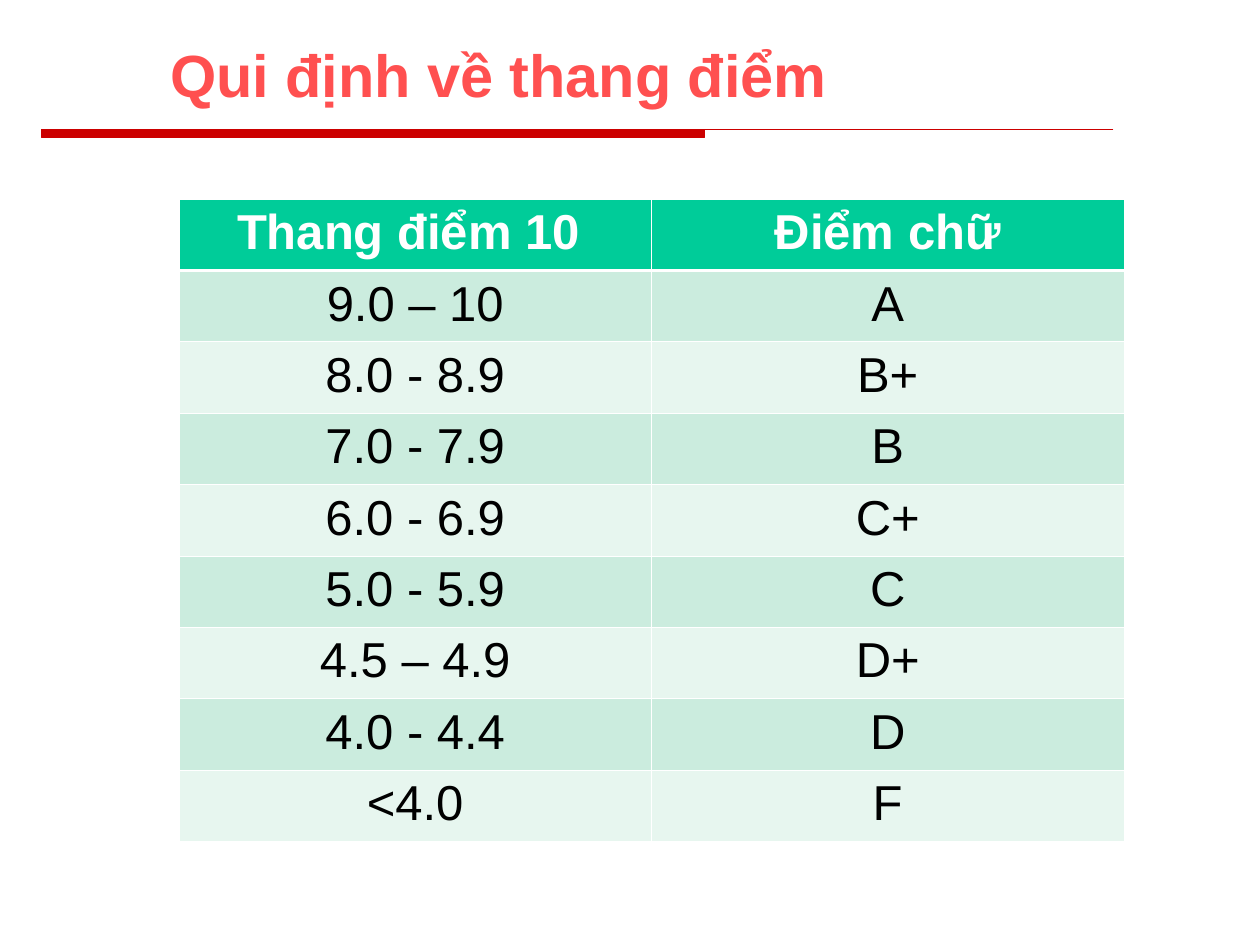
"""Build a slide with a table that maps ten-point scores to letter grades."""
import pptx
import pptx.dml.color
import pptx.enum.text
import pptx.oxml
import pptx.oxml.ns
import pptx.util

Inches = pptx.util.Inches
Pt = pptx.util.Pt
COLORS = {
    "title": "FF5050",
    "rule": "CC0000",
    "header": "00CC99",
    "odd": "CBECDE",
    "even": "E7F6EF",
    "white": "FFFFFF",
    "black": "000000",
}
GRADES = [
    ("Thang điểm 10 ", "Điểm chữ"),
    ("9.0 – 10", "A"),
    ("8.0 - 8.9", "B+"),
    ("7.0 - 7.9", "B"),
    ("6.0 - 6.9", "C+"),
    ("5.0 - 5.9", "C"),
    ("4.5 – 4.9", "D+"),
    ("4.0 - 4.4", "D"),
    ("<4.0", "F"),
]


def rgb(name):
    return pptx.dml.color.RGBColor.from_string(COLORS[name])


def format_paragraph(paragraph, size, color, bold, alignment):
    paragraph.alignment = alignment
    paragraph.font.name = "Arial"
    paragraph.font.size = Pt(size)
    paragraph.font.bold = bold
    paragraph.font.color.rgb = rgb(color)


presentation = pptx.Presentation()
presentation.slide_width = Inches(10)
presentation.slide_height = Inches(7.5)
slide = presentation.slides.add_slide(presentation.slide_layouts[5])

rule_points = [(8.83, 1.03), (5.59, 1.03), (5.59, 1.09), (0.33, 1.09)]
builder = slide.shapes.build_freeform(Inches(0.33), Inches(1.03))
builder.add_line_segments([(Inches(x), Inches(y)) for x, y in rule_points], close=True)
rule = builder.convert_to_shape()
rule.shadow.inherit = False
rule.fill.solid()
rule.fill.fore_color.rgb = rgb("rule")
rule.line.color.rgb = rgb("rule")
rule.line.width = Pt(0.75)

title = slide.shapes.title
title.left, title.top = Inches(1.25), Inches(0)
title.width, title.height = Inches(7.42), Inches(0.92)
title.text_frame.text = "Qui định về thang điểm"
title.text_frame.auto_size = pptx.enum.text.MSO_AUTO_SIZE.NONE
title.text_frame.vertical_anchor = pptx.enum.text.MSO_ANCHOR.BOTTOM
format_paragraph(title.text_frame.paragraphs[0], 34, "title", True,
                 pptx.enum.text.PP_ALIGN.LEFT)

table = slide.shapes.add_table(
    len(GRADES), 2, Inches(1.42), Inches(1.58), Inches(7.5), Inches(5.1)
).table
for row, texts in enumerate(GRADES):
    is_header = row == 0
    fill = "header" if is_header else "odd" if row % 2 else "even"
    widths = {"L": 0.45, "R": 0.45,
              "T": 1.47 if row == 1 else 0.45,
              "B": 1.47 if is_header else 0.45}
    for column, text in enumerate(texts):
        cell = table.cell(row, column)
        cell.text = text
        format_paragraph(cell.text_frame.paragraphs[0], 28,
                         "white" if is_header else "black", is_header,
                         pptx.enum.text.PP_ALIGN.CENTER)
        cell.fill.solid()
        cell.fill.fore_color.rgb = rgb(fill)
        properties = cell._tc.get_or_add_tcPr()
        for position, (side, width) in enumerate(widths.items()):
            border = pptx.oxml.parse_xml(
                f'<a:ln{side} {pptx.oxml.ns.nsdecls("a")} w="{Pt(width)}"><a:solidFill>'
                f'<a:srgbClr val="{COLORS["white"]}"/></a:solidFill></a:ln{side}>'
            )
            properties.insert(position, border)

presentation.save("out.pptx")
